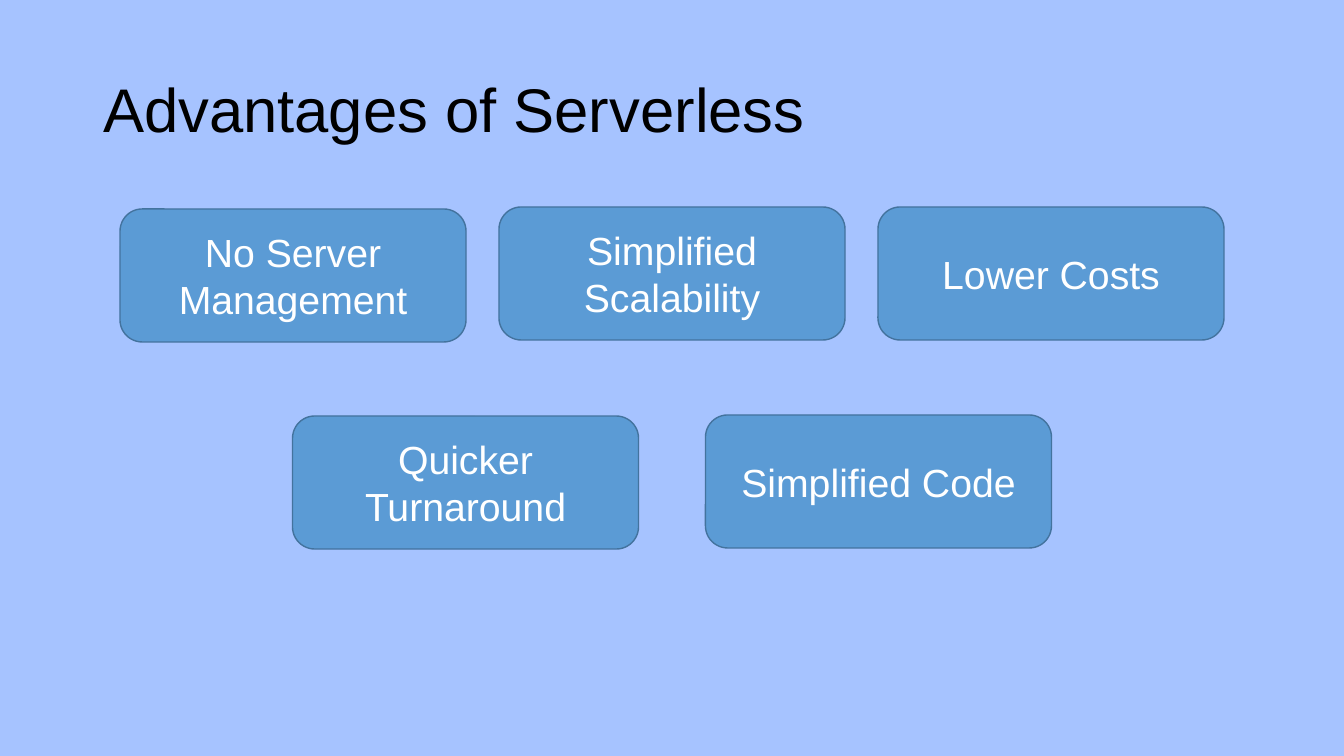
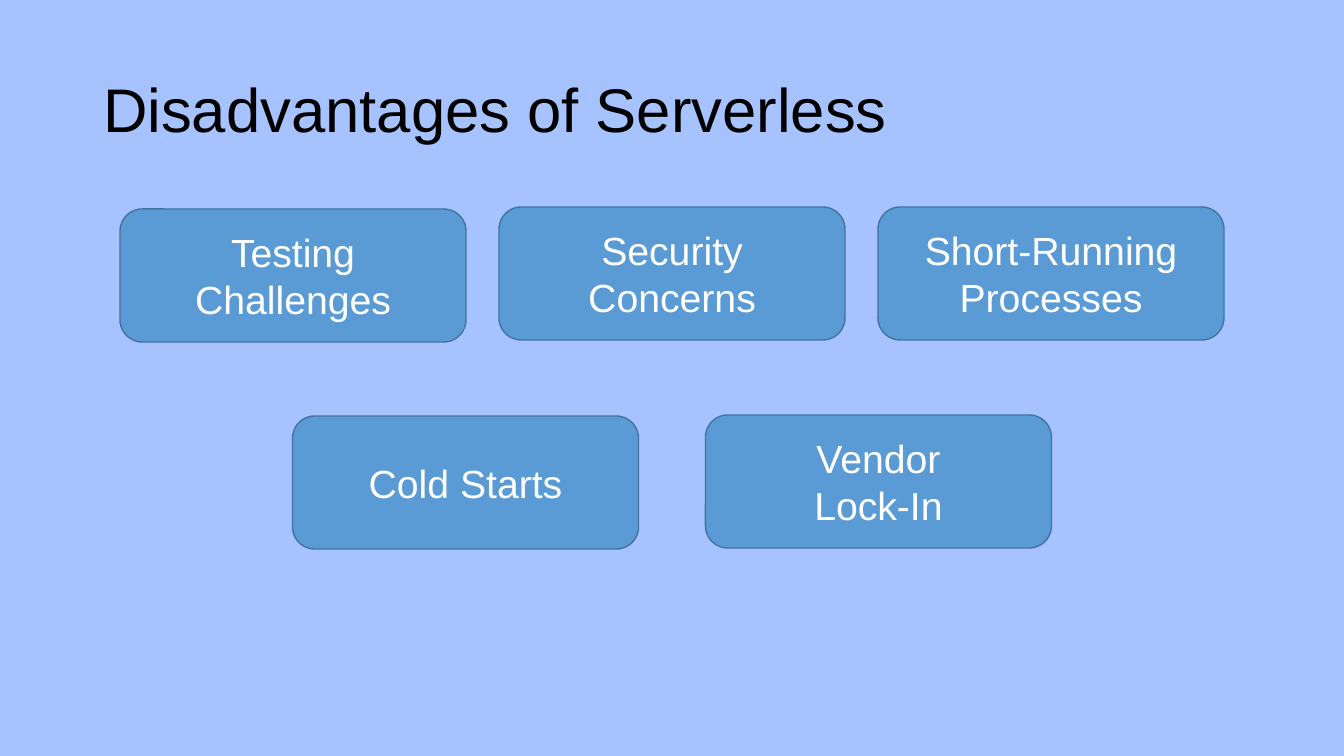
from dataclasses import dataclass

from pptx import Presentation
from pptx.dml.color import RGBColor
from pptx.enum.shapes import MSO_SHAPE
from pptx.enum.text import MSO_ANCHOR, PP_ALIGN
from pptx.util import Pt

ROUNDED = MSO_SHAPE.ROUNDED_RECTANGLE
MIDDLE = MSO_ANCHOR.MIDDLE
LEFT, CENTER = PP_ALIGN.LEFT, PP_ALIGN.CENTER

EMU_PER_PX = 914400 / 100.8
SLIDE_WIDTH, SLIDE_HEIGHT = 1344, 756
TITLE_ONLY_LAYOUT = 5
TITLE_BOX = (93, 40, 1159, 146)
CARD_WIDTH, CARD_HEIGHT = 346, 133
# Each row: gap between cards, then the top of each card
CARD_ROWS = [(33, (209, 207, 207)), (67, (416, 415))]


@dataclass(frozen=True)
class Theme:
    font: str = "Arial"
    background: str = "A6C3FF"
    title_color: str = "000000"
    card_fill: str = "5B9BD5"
    card_line: str = "43739E"
    card_text: str = "FFFFFF"
    title_size: int = 44
    card_size: int = 28
    line_width: int = 1


def px(length):
    return round(length * EMU_PER_PX)


def color(value):
    return RGBColor.from_string(value)


class Deck:
    def __init__(self, theme):
        self.theme = theme
        self.slide = None
        self.presentation = Presentation()
        self.presentation.slide_width = px(SLIDE_WIDTH)
        self.presentation.slide_height = px(SLIDE_HEIGHT)
        background = self.presentation.slide_master.background.fill
        background.solid()
        background.fore_color.rgb = color(theme.background)

    def set_text(self, shape, text, size, text_color, alignment):
        """Fill a shape with text; each line becomes a paragraph."""
        frame = shape.text_frame
        frame.word_wrap = True
        frame.vertical_anchor = MIDDLE
        frame.text = text
        for paragraph in frame.paragraphs:
            paragraph.alignment = alignment
            paragraph.font.name = self.theme.font
            paragraph.font.size = Pt(size)
            paragraph.font.color.rgb = color(text_color)

    def add_slide(self, title):
        layout = self.presentation.slide_layouts[TITLE_ONLY_LAYOUT]
        self.slide = self.presentation.slides.add_slide(layout)
        shape = self.slide.shapes.title
        shape.left, shape.top, shape.width, shape.height = map(px, TITLE_BOX)
        self.set_text(shape, title, self.theme.title_size, self.theme.title_color, LEFT)
        shape.text_frame.paragraphs[0].line_spacing = 0.9

    def add_card(self, left, top, text):
        shape = self.slide.shapes.add_shape(
            ROUNDED, px(left), px(top), px(CARD_WIDTH), px(CARD_HEIGHT))
        shape.shadow.inherit = False
        shape.fill.solid()
        shape.fill.fore_color.rgb = color(self.theme.card_fill)
        shape.line.color.rgb = color(self.theme.card_line)
        shape.line.width = Pt(self.theme.line_width)
        self.set_text(shape, text, self.theme.card_size, self.theme.card_text, CENTER)

    def add_cards(self, labels):
        """Lay the labels out in rows centred on the slide."""
        remaining = iter(labels)
        for gap, tops in CARD_ROWS:
            pitch = CARD_WIDTH + gap
            start = (SLIDE_WIDTH - len(tops) * pitch + gap) / 2
            for column, top in enumerate(tops):
                self.add_card(start + column * pitch, top, next(remaining))


SLIDES = {
    "Advantages of Serverless": [
        "No Server Management", "Simplified Scalability", "Lower Costs",
        "Quicker Turnaround", "Simplified Code",
    ],
    "Disadvantages of Serverless": [
        "Testing Challenges", "Security Concerns", "Short-Running Processes",
        "Cold Starts", "Vendor\nLock-In",
    ],
}


def main():
    deck = Deck(Theme())
    for title, labels in SLIDES.items():
        deck.add_slide(title)
        deck.add_cards(labels)
    deck.presentation.save("out.pptx")


if __name__ == "__main__":
    main()
